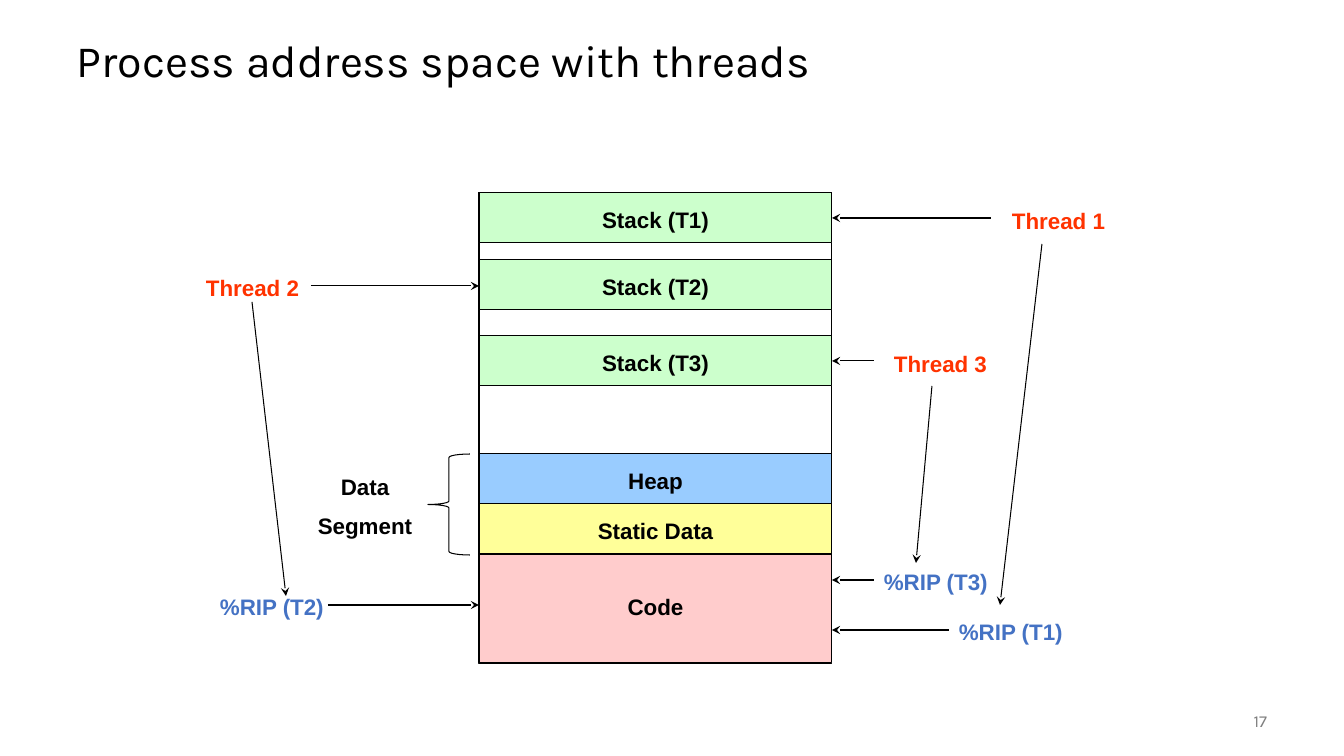
from lxml import etree
from pptx import Presentation
from pptx.dml.color import RGBColor
from pptx.enum.shapes import MSO_CONNECTOR, MSO_SHAPE
from pptx.enum.text import MSO_ANCHOR, PP_ALIGN
from pptx.oxml.ns import qn
from pptx.util import Pt

# Content: lengths in px, 100.8 px to the inch
TITLE = ("Process address space with threads", (67, 25, 1210, 76))
PAGE = ("17", (1176, 701, 101, 40))
SPACE_X, SPACE_Y, SPACE_W, SPACE_H = 479, 193, 353, 471
SPACE_RIGHT = SPACE_X + SPACE_W

# Memory regions: name, top, height, label offset, fill
REGIONS = [
    ("Stack (T1)", 193, 50, 8, "stack"),
    ("Stack (T2)", 260, 50, 8, "stack"),
    ("Stack (T3)", 336, 50, 8, "stack"),
    ("Heap", 454, 50, 8, "heap"),
    ("Static Data", 504, 50, 8, "static"),
    ("Code", 554, 109, 34, "code"),
]

# Labels: lines, left, top, width, height, colour, alignment
LABELS = [
    (["Thread 1"], 966, 202, 185, 37, "thread", PP_ALIGN.CENTER),
    (["Thread 2"], 160, 269, 185, 37, "thread", PP_ALIGN.CENTER),
    (["Thread 3"], 848, 345, 185, 37, "thread", PP_ALIGN.CENTER),
    (["%RIP (T1)"], 949, 613, 134, 37, "rip", PP_ALIGN.LEFT),
    (["%RIP (T2)"], 210, 588, 126, 37, "rip", PP_ALIGN.LEFT),
    (["%RIP (T3)"], 874, 563, 126, 37, "rip", PP_ALIGN.LEFT),
    (["Data", "Segment"], 302, 468, 126, 78, "ink", PP_ALIGN.CENTER),
]

# Level arrows into the address space: start x, y, edge reached
POINTERS = [
    (991, 218, SPACE_RIGHT),
    (311, 286, SPACE_X),
    (874, 361, SPACE_RIGHT),
    (949, 630, SPACE_RIGHT),
    (328, 605, SPACE_X),
    (874, 580, SPACE_RIGHT),
]
# Arrows from each thread to its instruction pointer
THREAD_TO_RIP = [
    (1042, 244, 1000, 605),
    (252, 302, 286, 596),
    (932, 386, 916, 563),
]
BRACE = (428, 454, 42, 101)

THEME = {
    "ink": "000000", "page": "808080", "thread": "FF3300", "rip": "4472C4",
    "stack": "CCFFCC", "heap": "99CCFF", "static": "FFFF99", "code": "FFCCCC",
    "title_font": "Karla", "body_font": "Arial",
    "title_size": 32, "body_size": 16, "page_size": 12,
    "line": 0.75, "line_gap": 9,
}
SCALE = 914400 / 100.8


def px(*values):
    return [round(v * SCALE) for v in values]


def color(name):
    return RGBColor.from_string(THEME[name])


def write(tf, lines, role, ink, align=PP_ALIGN.LEFT, anchor=MSO_ANCHOR.TOP):
    tf.word_wrap = True
    tf.vertical_anchor = anchor
    for i, line in enumerate(lines):
        p = tf.paragraphs[0] if i == 0 else tf.add_paragraph()
        p.text = line
        p.alignment = align
        if i:
            p.space_before = Pt(THEME["line_gap"])
        p.font.name = THEME["body_font" if role == "body" else "title_font"]
        p.font.size = Pt(THEME[role + "_size"])
        p.font.bold = role == "body"
        p.font.color.rgb = color(ink)


def add_text(s, box, *args):
    tf = s.shapes.add_textbox(*px(*box)).text_frame
    write(tf, *args)
    return tf


def add_outline(s, kind, box, fill=None):
    sp = s.shapes.add_shape(kind, *px(*box))
    sp.shadow.inherit = False
    sp.line.color.rgb = color("ink")
    sp.line.width = Pt(THEME["line"])
    if fill:
        sp.fill.solid()
        sp.fill.fore_color.rgb = color(fill)
    else:
        sp.fill.background()
    return sp


def add_arrow(s, x1, y1, x2, y2):
    c = s.shapes.add_connector(MSO_CONNECTOR.STRAIGHT, *px(x1, y1, x2, y2))
    c.line.color.rgb = color("ink")
    c.line.width = Pt(THEME["line"])
    etree.SubElement(c.line._get_or_add_ln(), qn("a:tailEnd"), type="stealth")
    etree.SubElement(c._element.spPr, qn("a:effectLst"))


def main():
    prs = Presentation()
    prs.slide_width, prs.slide_height = px(1344, 756)
    s = prs.slides.add_slide(prs.slide_layouts[6])

    # Title and page number
    tf = add_text(s, TITLE[1], [TITLE[0]], "title", "ink", PP_ALIGN.LEFT, MSO_ANCHOR.MIDDLE)
    tf.paragraphs[0].line_spacing = 0.9
    add_text(s, PAGE[1], [PAGE[0]], "page", "page", PP_ALIGN.RIGHT, MSO_ANCHOR.MIDDLE)

    # Address space and its regions
    add_outline(s, MSO_SHAPE.RECTANGLE, (SPACE_X, SPACE_Y, SPACE_W, SPACE_H))
    for name, top, height, offset, fill in REGIONS:
        sp = add_outline(s, MSO_SHAPE.RECTANGLE, (SPACE_X, top, SPACE_W, height), fill)
        write(sp.text_frame, [name], "body", "ink", PP_ALIGN.CENTER)
        sp.text_frame.margin_top = px(offset + 5)[0]
        sp.text_frame.margin_bottom = 0

    # Labels around the address space
    add_outline(s, MSO_SHAPE.LEFT_BRACE, BRACE)
    for lines, x, y, w, h, ink, align in LABELS:
        add_text(s, (x, y, w, h), lines, "body", ink, align)

    # Arrows
    for x, y, edge in POINTERS:
        add_arrow(s, x, y, edge, y)
    for ends in THREAD_TO_RIP:
        add_arrow(s, *ends)

    prs.save("out.pptx")


if __name__ == "__main__":
    main()
